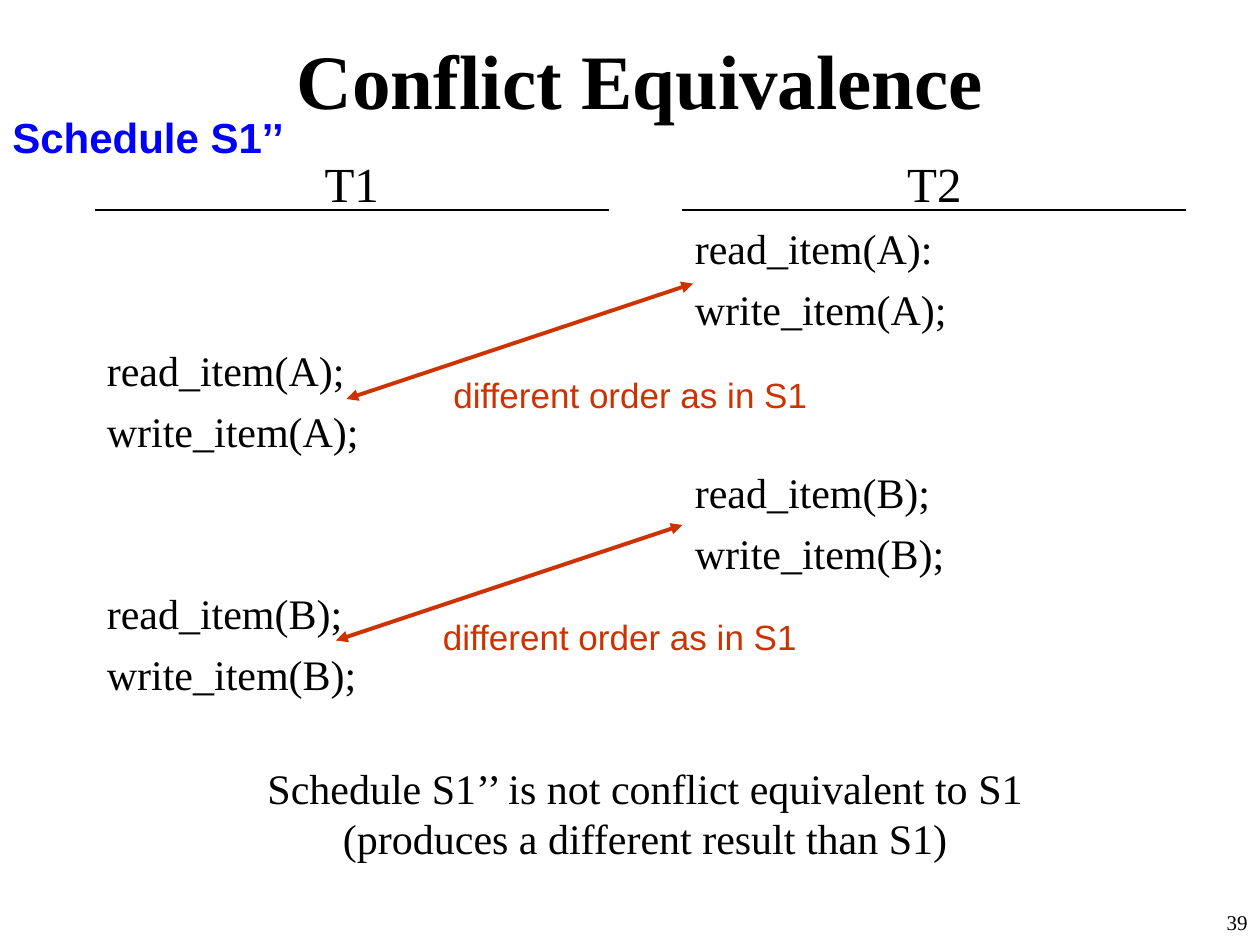
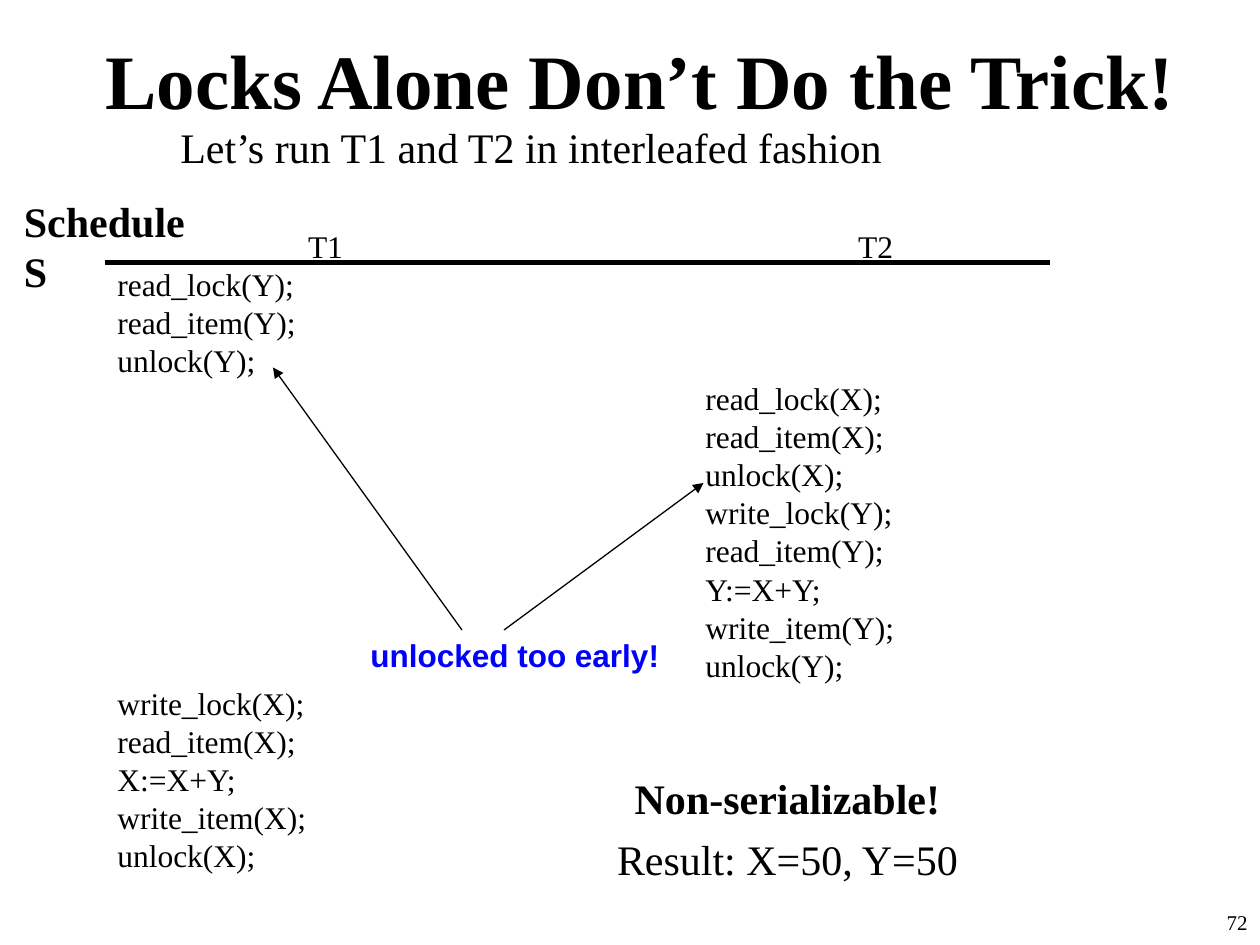
from dataclasses import dataclass

from lxml import etree
from pptx import Presentation
from pptx import util as u
from pptx.dml.color import RGBColor
from pptx.enum import shapes, text
from pptx.oxml.ns import qn

PX = 7620
ALIGN = text.PP_ALIGN


@dataclass(frozen=True)
class Theme:
    """Colours, fonts and type sizes shared by the slides."""
    ink: str = "000000"
    blue: str = "0000FF"
    red: str = "CC3300"
    serif: str = "Times New Roman"
    sans: str = "Arial"
    title: int = 44
    head: int = 28
    body: int = 24
    label: int = 20
    code: int = 18
    number: int = 12
    leading: float = 1.2


T = Theme()


def px(n):
    """Turn px into EMU."""
    return u.Emu(n * PX)


def style(p, size, color=T.ink, font=T.serif, bold=False, align=ALIGN.LEFT):
    """Set the font and alignment of a paragraph."""
    p.alignment = align
    p.font.size, p.font.name, p.font.bold = u.Pt(size), font, bold
    p.font.color.rgb = RGBColor.from_string(color)


def add_text(s, box, lines, size, wrap=True, anchor=text.MSO_ANCHOR.TOP, **look):
    """Add a text box with one paragraph per line and return its frame."""
    tf = s.shapes.add_textbox(*map(px, box)).text_frame
    tf.word_wrap = wrap
    tf.auto_size = text.MSO_AUTO_SIZE.NONE if wrap else text.MSO_AUTO_SIZE.SHAPE_TO_FIT_TEXT
    tf.vertical_anchor = anchor
    for i, line in enumerate(lines):
        p = tf.add_paragraph() if i else tf.paragraphs[0]
        p.text = line
        style(p, size, **look)
    return tf


def add_line(s, start, end, color=T.ink, width=0.75, heads=()):
    """Add a straight line with triangles at the ends named in heads."""
    c = s.shapes.add_connector(shapes.MSO_CONNECTOR.STRAIGHT, *map(px, (*start, *end)))
    c.line.color.rgb = RGBColor.from_string(color)
    c.line.width = u.Pt(width)
    ln = c.line._get_or_add_ln()
    for head in heads:
        etree.SubElement(ln, qn(f"a:{head}"), type="triangle")
    etree.SubElement(c._element.spPr, qn("a:effectLst"))


def add_frame(prs, title, number):
    """Add a blank slide with its title and page number."""
    s = prs.slides.add_slide(prs.slide_layouts[6])
    add_text(s, (950, 860, 250, 60), [str(number)], T.number, align=ALIGN.RIGHT)
    add_text(s, (50, 0, 1120, 150), [title], T.title, bold=True,
             align=ALIGN.CENTER, anchor=text.MSO_ANCHOR.MIDDLE)
    return s


def add_transaction(s, box, name, blocks, head_size, size, before, spacing=1.0):
    """Add a schedule column; blocks maps a starting row to its statements."""
    tf = add_text(s, box, [name], head_size, align=ALIGN.CENTER)
    pitch = size * T.leading * spacing
    next_row = 0
    for start, statements in blocks.items():
        for row, statement in enumerate(statements, start):
            p = tf.add_paragraph()
            p.text = statement
            style(p, size)
            p.line_spacing = u.Pt(pitch)
            p.space_before = u.Pt(before + (row - next_row) * (pitch + before))
            next_row = row + 1


def add_conflict(s, x, y):
    """Add a two-headed conflict arrow and its label in a box at x, y."""
    add_line(s, (x, y + 110), (x + 330, y), T.red, 2.25, ("headEnd", "tailEnd"))
    add_text(s, (x + 90, y + 80, 361, 53), ["different order as in S1"], T.label,
             wrap=False, color=T.red, font=T.sans)


def conflict_slide(prs):
    """Build the slide on conflict equivalence."""
    s = add_frame(prs, "Conflict Equivalence", 39)
    read_a, write_a = "read_item(A);", "write_item(A);"
    b_steps = ["read_item(B);", "write_item(B);"]
    columns = [
        ("T1", (90, 140, 490, 590), {2: [read_a, write_a], 6: b_steps}),
        ("T2", (650, 140, 480, 680), {0: ["read_item(A):", write_a], 4: b_steps}),
    ]
    for name, box, blocks in columns:
        x, y, w, _ = box
        add_transaction(s, box, name, blocks, T.head, T.body, before=6)
        add_line(s, (x, y + 60), (x + w, y + 60))
    add_text(s, (240, 720, 749, 108),
             ["Schedule S1’’ is not conflict equivalent to S1",
              "(produces a different result than S1)"],
             T.body, wrap=False, align=ALIGN.CENTER)
    add_text(s, (0, 100, 283, 60), ["Schedule S1’’"], T.body, wrap=False,
             color=T.blue, font=T.sans, bold=True)
    for x, y in ((330, 270), (320, 500)):
        add_conflict(s, x, y)


def locks_slide(prs):
    """Build the slide on locks released too early."""
    s = add_frame(prs, "Locks Alone Don’t Do the Trick!", 72)
    columns = [
        ("T1", (100, 210, 420, 640), {
            0: ["read_lock(Y);", "read_item(Y);", "unlock(Y);"],
            11: ["write_lock(X);", "read_item(X);", "X:=X+Y;",
                 "write_item(X);", "unlock(X);"]}),
        ("T2", (660, 210, 348, 530), {
            3: ["read_lock(X);", "read_item(X);", "unlock(X);", "write_lock(Y);",
                "read_item(Y);", "Y:=X+Y;", "write_item(Y);", "unlock(Y);"]}),
    ]
    for name, box, blocks in columns:
        add_transaction(s, box, name, blocks, T.code, T.code, before=4.5, spacing=0.8)
    for left, right in ((100, 650), (650, 1000)):
        add_line(s, (left, 250), (right, 250), width=3)
    verdict = add_text(s, (350, 730, 800, 50), ["Non-serializable!", "Result: X=50, Y=50"],
                       T.body, align=ALIGN.CENTER)
    verdict.paragraphs[0].font.bold = True
    verdict.paragraphs[1].space_before = u.Pt(6)
    add_text(s, (341, 600, 299, 48), ["unlocked too early!"], T.code, wrap=False,
             color=T.blue, font=T.sans, bold=True)
    for start, end in (((440, 600), (260, 350)), ((480, 600), (670, 460))):
        add_line(s, start, end, heads=("tailEnd",))
    add_text(s, (160, 110, 1020, 50), ["Let’s run T1 and T2 in interleafed fashion"], T.body)
    add_text(s, (11, 180, 209, 60), ["Schedule S"], T.body, wrap=False, bold=True)


def main():
    """Build and save the presentation."""
    prs = Presentation()
    prs.slide_width, prs.slide_height = px(1200), px(900)
    conflict_slide(prs)
    locks_slide(prs)
    prs.save("out.pptx")


if __name__ == "__main__":
    main()
